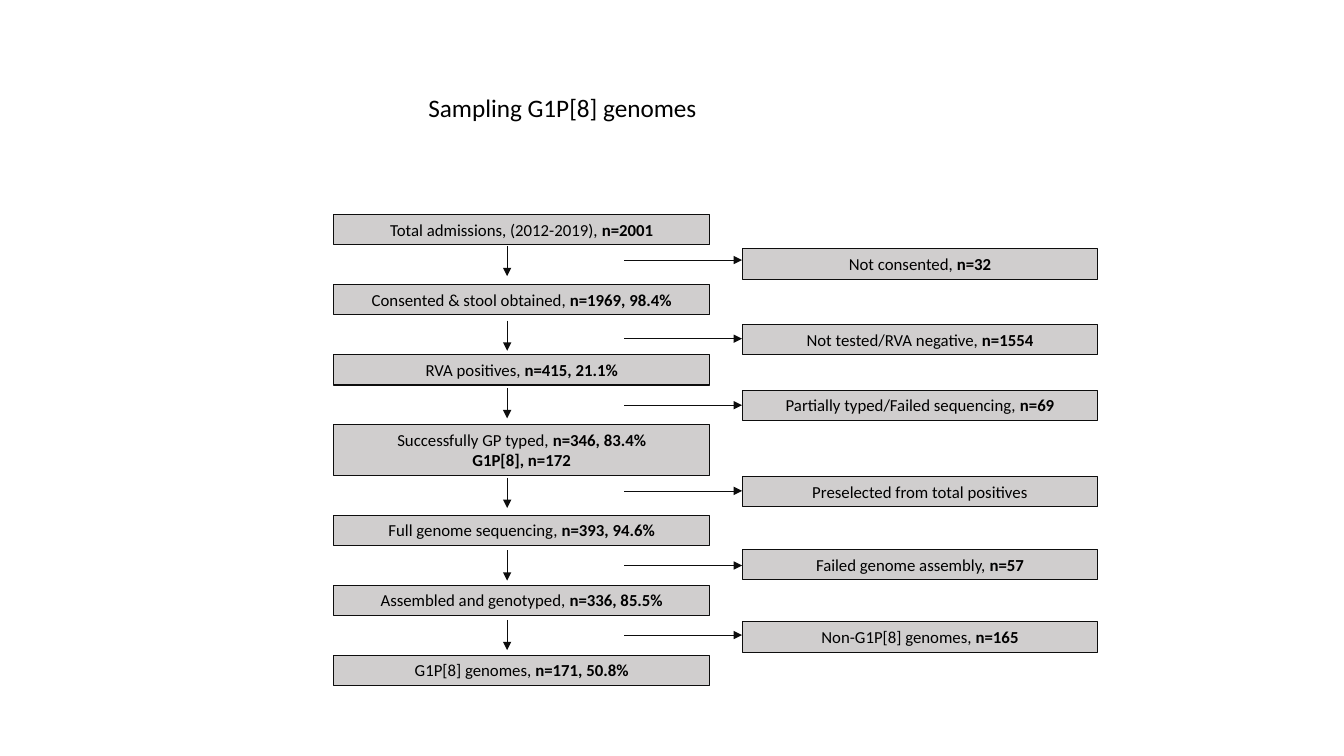
from lxml import etree
from pptx import Presentation
from pptx.dml.color import RGBColor
from pptx.enum.shapes import MSO_CONNECTOR, MSO_SHAPE
from pptx.enum.text import MSO_ANCHOR, MSO_AUTO_SIZE, PP_ALIGN
from pptx.oxml.ns import qn
from pptx.util import Inches, Pt

# Content: each box is a list of lines, each line is (plain text, bold text)
TITLE = "Sampling G1P[8] genomes"
STEPS = [
    [("Total admissions, (2012-2019), ", "n=2001")],
    [("Consented & stool obtained, ", "n=1969, 98.4%")],
    [("RVA positives, ", "n=415, 21.1%")],
    [("Successfully GP typed, ", "n=346, 83.4%"), ("", "G1P[8], n=172")],
    [("Full genome sequencing, ", "n=393, 94.6%")],
    [("Assembled and genotyped, ", "n=336, 85.5%")],
    [("G1P[8] genomes, ", "n=171, 50.8%")],
]
# (plain text, bold text, box top, side arrow y, down arrow top)
EXCLUSIONS = [
    ("Not consented, ", "n=32", 2.47, 2.58, 2.44),
    ("Not tested/RVA negative, ", "n=1554", 3.22, 3.36, 3.18),
    ("Partially typed/Failed sequencing, ", "n=69", 3.87, 4.02, 3.85),
    ("Preselected from total positives", "", 4.73, 4.87, 4.74),
    ("Failed genome assembly, ", "n=57", 5.45, 5.61, 5.46),
    ("Non-G1P[8] genomes, ", "n=165", 6.17, 6.3, 6.15),
]

# Layout in inches
STEP_X, STEP_W, STEP_TOP, STEP_BOTTOM = 3.31, 3.73, 2.13, 6.8
SIDE_X, SIDE_W = 7.36, 3.53
DOWN_X, DOWN_LEN, BRANCH_X = 5.03, 0.3, 6.19
BOX_H, LINE_H = 0.3, 0.2
FILL, EDGE, TEXT = "D0CECE", "0D0D0D", "000000"


def color(value):
    return RGBColor.from_string(value)


def add_run(p, text, size, bold=False):
    r = p.add_run()
    r.text = text
    r.font.name = "Calibri"
    r.font.size = Pt(size)
    r.font.bold = bold
    r.font.color.rgb = color(TEXT)


def add_box(s, x, y, w, h, lines):
    sp = s.shapes.add_shape(MSO_SHAPE.RECTANGLE, Inches(x), Inches(y), Inches(w), Inches(h))
    sp.shadow.inherit = False
    sp.fill.solid()
    sp.fill.fore_color.rgb = color(FILL)
    sp.line.color.rgb = color(EDGE)
    sp.line.width = Pt(0.75)
    tf = sp.text_frame
    tf.word_wrap = True
    tf.auto_size = MSO_AUTO_SIZE.SHAPE_TO_FIT_TEXT
    tf.vertical_anchor = MSO_ANCHOR.TOP
    for i, (plain, bold) in enumerate(lines):
        p = tf.add_paragraph() if i else tf.paragraphs[0]
        p.alignment = PP_ALIGN.CENTER
        if plain:
            add_run(p, plain, 12)
        if bold:
            add_run(p, bold, 12, True)


def add_arrow(s, x1, y1, x2, y2):
    c = s.shapes.add_connector(MSO_CONNECTOR.STRAIGHT, Inches(x1), Inches(y1), Inches(x2), Inches(y2))
    c.line.color.rgb = color(EDGE)
    c.line.width = Pt(0.5)
    etree.SubElement(c.line._get_or_add_ln(), qn("a:tailEnd"), type="triangle")
    etree.SubElement(c._element.spPr, qn("a:effectLst"))


prs = Presentation()
prs.slide_width, prs.slide_height = Inches(13.33), Inches(7.5)
s = prs.slides.add_slide(prs.slide_layouts[6])

# Main column, with equal gaps between the boxes
heights = [BOX_H + LINE_H * (len(lines) - 1) for lines in STEPS]
gap = (STEP_BOTTOM - STEP_TOP - sum(heights)) / (len(STEPS) - 1)
y = STEP_TOP
for lines, h in zip(STEPS, heights):
    add_box(s, STEP_X, y, STEP_W, h, lines)
    y += h + gap

# Exclusions and arrows
for plain, bold, box_y, branch_y, down_y in EXCLUSIONS:
    add_arrow(s, DOWN_X, down_y, DOWN_X, down_y + DOWN_LEN)
    add_box(s, SIDE_X, box_y, SIDE_W, BOX_H, [(plain, bold)])
    add_arrow(s, BRANCH_X, branch_y, SIDE_X, branch_y)

# Title
tf = s.shapes.add_textbox(Inches(4.15), Inches(0.87), Inches(2.89), Inches(0.4)).text_frame
tf.word_wrap = False
tf.auto_size = MSO_AUTO_SIZE.SHAPE_TO_FIT_TEXT
add_run(tf.paragraphs[0], TITLE, 18)

prs.save("out.pptx")
